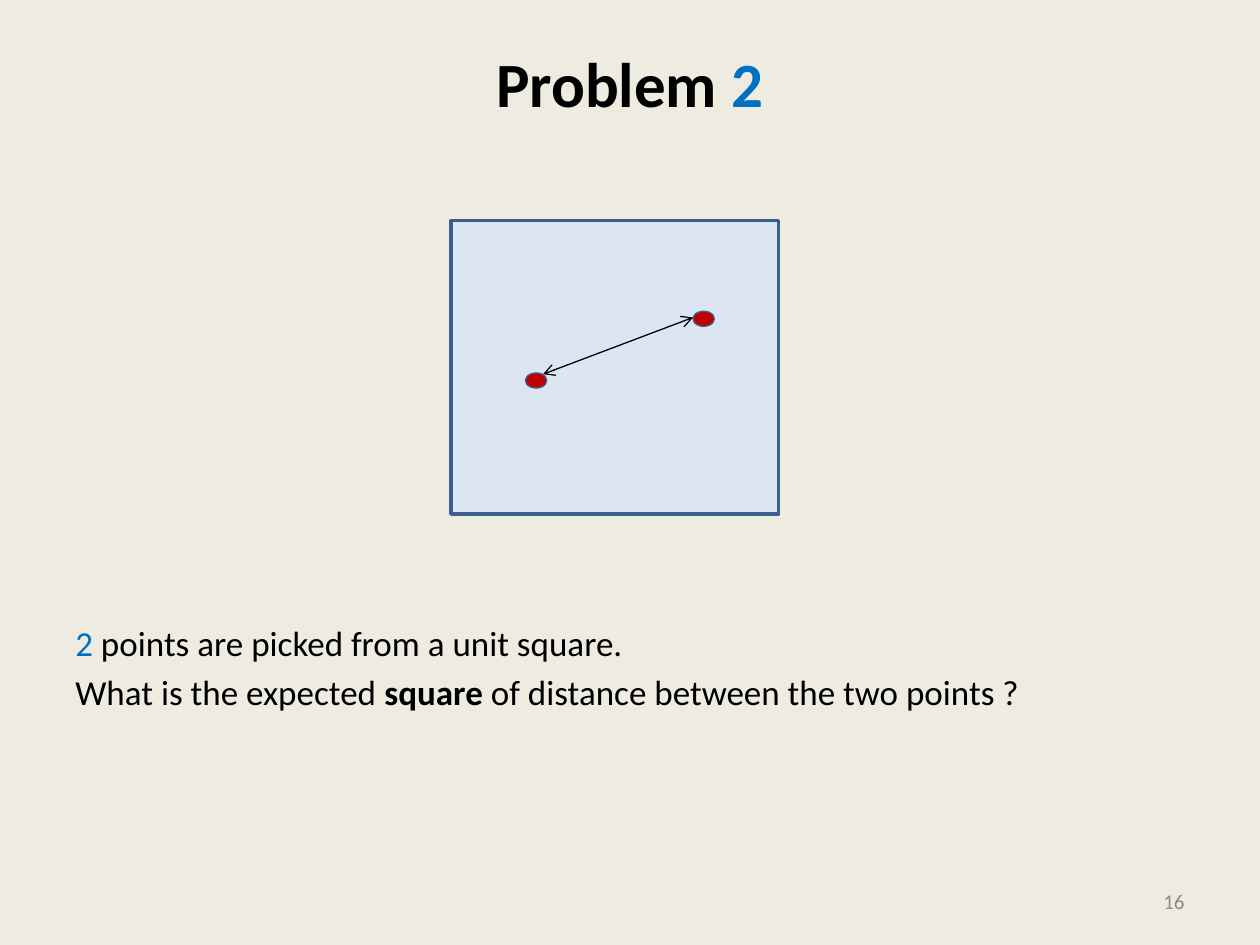
from dataclasses import dataclass

from lxml import etree
from pptx import Presentation
from pptx.dml.color import RGBColor
from pptx.enum.shapes import MSO_CONNECTOR, MSO_SHAPE
from pptx.enum.text import MSO_ANCHOR, PP_ALIGN
from pptx.oxml.ns import qn
from pptx.util import Inches, Pt

LINE = MSO_CONNECTOR.STRAIGHT
RECT, OVAL = MSO_SHAPE.RECTANGLE, MSO_SHAPE.OVAL
TOP, MIDDLE = MSO_ANCHOR.TOP, MSO_ANCHOR.MIDDLE
LEFT, CENTER, RIGHT = PP_ALIGN.LEFT, PP_ALIGN.CENTER, PP_ALIGN.RIGHT


@dataclass(frozen=True)
class Theme:
    font: str = "Calibri"
    back: str = "EEECE1"
    ink: str = "000000"
    accent: str = "0070C0"
    muted: str = "8C8C8C"
    pane: str = "DCE6F2"
    edge: str = "3A5F8C"
    dot: str = "C00000"
    title: int = 36
    body: int = 20
    small: int = 12


class Deck:
    def __init__(self, theme):
        self.theme = theme
        self.prs = Presentation()
        self.prs.slide_width, self.prs.slide_height = Inches(10), Inches(7.5)
        self.slide = self.prs.slides.add_slide(self.prs.slide_layouts[6])
        self.paint(self.slide.background.fill, theme.back)

    def paint(self, fill, color):
        fill.solid()
        fill.fore_color.rgb = RGBColor.from_string(color)

    def text(self, box, lines, size, align=LEFT, anchor=TOP):
        frame = self.slide.shapes.add_textbox(*map(Inches, box)).text_frame
        frame.word_wrap = True
        frame.vertical_anchor = anchor
        for i, line in enumerate(lines):
            par = frame.add_paragraph() if i else frame.paragraphs[0]
            par.alignment = align
            par.space_before = Pt(size * 0.2 if i else 0)
            for words, color, bold in line:
                run = par.add_run()
                run.text = words
                run.font.name = self.theme.font
                run.font.size = Pt(size)
                run.font.bold = bold
                run.font.color.rgb = RGBColor.from_string(color)

    def shape(self, kind, box, color, width):
        item = self.slide.shapes.add_shape(kind, *map(Inches, box))
        item.shadow.inherit = False
        self.paint(item.fill, color)
        self.paint(item.line.fill, self.theme.edge)
        item.line.width = Pt(width)

    def arrow(self, start, end):
        item = self.slide.shapes.add_connector(LINE, *map(Inches, start + end))
        self.paint(item.line.fill, self.theme.ink)
        item.line.width = Pt(0.75)
        props = item.line._get_or_add_ln()
        for tag in ("a:headEnd", "a:tailEnd"):
            etree.SubElement(props, qn(tag), type="arrow")
        etree.SubElement(item._element.spPr, qn("a:effectLst"))


def main():
    look = Theme()
    deck = Deck(look)
    deck.text((0.5, 0.3, 9, 1.25),
              [[("Problem ", look.ink, True), ("2", look.accent, True)]],
              look.title, CENTER)
    deck.text((0.5, 4.88, 9, 1.82), [
        [("2", look.accent, False),
         (" points are picked from a unit square.", look.ink, False)],
        [("What is the expected ", look.ink, False),
         ("square", look.ink, True),
         (" of distance between the two points ?", look.ink, False)],
    ], look.body)
    deck.text((7.17, 6.95, 2.33, 0.4), [[("16", look.muted, False)]],
              look.small, RIGHT, MIDDLE)
    deck.shape(RECT, (3.58, 1.75, 2.6, 2.33), look.pane, 2)
    for spot in ((5.5, 2.47), (4.17, 2.96)):
        deck.shape(OVAL, spot + (0.17, 0.12), look.dot, 0.75)
    deck.arrow((4.31, 2.97), (5.5, 2.52))
    deck.prs.save("out.pptx")


if __name__ == "__main__":
    main()
